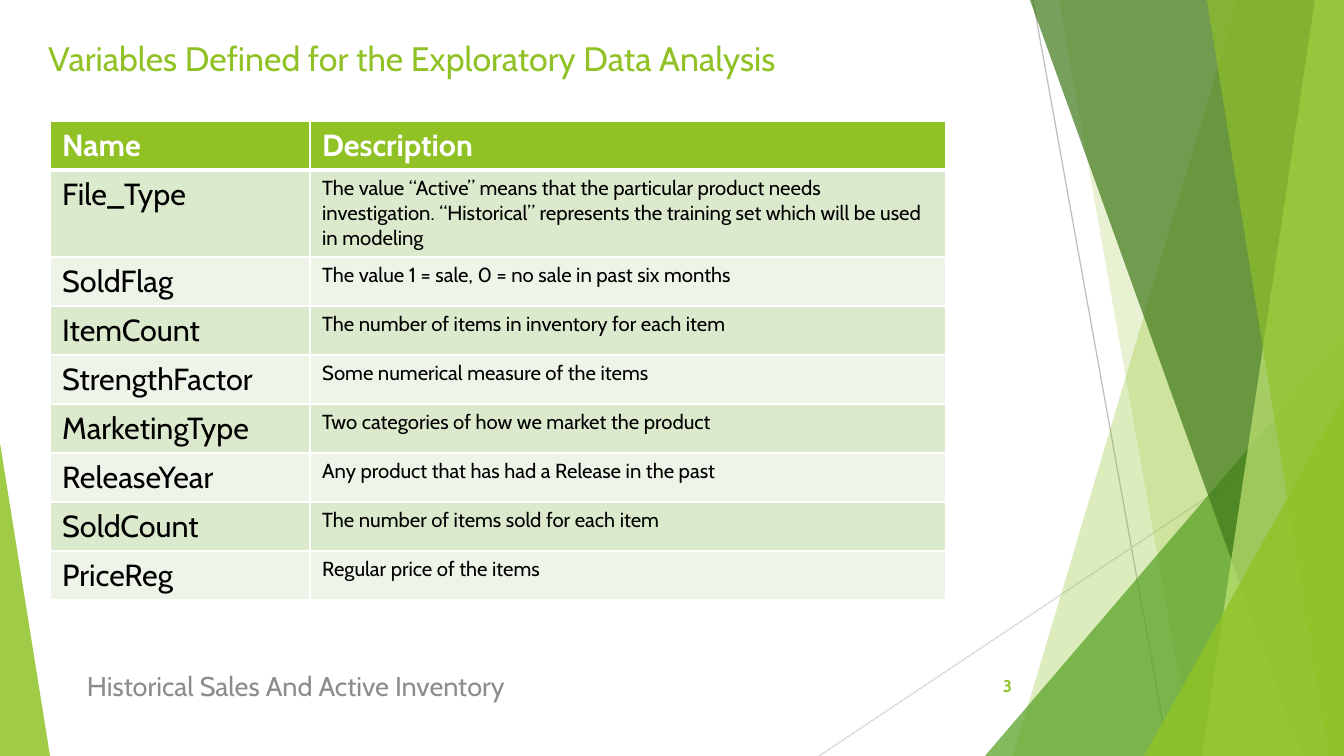
from dataclasses import dataclass

from lxml import etree
from pptx import Presentation
from pptx import util as u
from pptx.dml.color import RGBColor
from pptx.enum import shapes, text
from pptx.oxml import ns

TITLE = "Variables Defined for the Exploratory Data Analysis"
FOOTER = "Historical Sales And Active Inventory"
PAGE_NUMBER = "3"
VARIABLES = [
    ("Name", "Description"),
    ("File_Type", "The value “Active” means that the particular product needs investigation. "
                  "“Historical” represents the training set which will be used in modeling"),
    ("SoldFlag", "The value 1 = sale, 0 = no sale in past six months"),
    ("ItemCount", "The number of items in inventory for each item"),
    ("StrengthFactor", "Some numerical measure of the items"),
    ("MarketingType", "Two categories of how we market the product"),
    ("ReleaseYear", "Any product that has had a Release in the past"),
    ("SoldCount", "The number of items sold for each item"),
    ("PriceReg", "Regular price of the items"),
]


@dataclass(frozen=True)
class Theme:
    font: str = "Cabin"
    lime: str = "90C226"
    green: str = "54A021"
    forest: str = "3F7819"
    pale: str = "C0E474"
    band_dark: str = "DBE9CD"
    band_light: str = "EEF4E8"
    white: str = "FFFFFF"
    black: str = "000000"
    footer: str = "8C8C8C"
    ray_dark: str = "BFBFBF"
    ray_light: str = "D9D9D9"
    title_size: int = 20
    name_size: int = 18
    footer_size: int = 16
    description_size: int = 12
    number_size: int = 10


theme = Theme()
PX = u.Inches(1) / 122
WIDTH, HEIGHT = 1344, 756
TABLE_LEFT, TABLE_TOP = 50, 121
COLUMN_WIDTHS = (260, 636)
ROW_HEIGHT, TALL_ROW_HEIGHT = 49, 87

RAYS = [
    ((1033, 0), (1169, HEIGHT), theme.ray_dark),
    ((WIDTH, 406), (819, HEIGHT), theme.ray_light),
]
# Each facet: ("band", top x, bottom x) or ("triangle", box, apex), then colour and opacity.
FACETS = [
    ("band", (1238, 1013), theme.lime, 30),
    ("band", (1059, 1193), theme.lime, 20),
    ("triangle", (985, 337, 359, 419, 1), theme.green, 72),
    ("band", (1030, 1302), theme.forest, 70),
    ("band", (1315, 1202), theme.pale, 70),
    ("band", (1207, 1329), theme.lime, 65),
    ("triangle", (1144, 396, 200, 360, 1), theme.lime, 80),
    ("triangle", (0, 443, 50, 313, 0), theme.lime, 85),
]
LABELS = [
    (PAGE_NUMBER, (948, 666, 76, 40), theme.number_size, theme.lime, True,
     text.PP_ALIGN.RIGHT, text.MSO_ANCHOR.MIDDLE),
    (FOOTER, (75, 666, 694, 40), theme.footer_size, theme.footer, False,
     text.PP_ALIGN.LEFT, text.MSO_ANCHOR.MIDDLE),
    (TITLE, (36, 32, 980, 59), theme.title_size, theme.lime, False,
     text.PP_ALIGN.LEFT, text.MSO_ANCHOR.TOP),
]


def emu(*lengths):
    return [u.Emu(round(length * PX)) for length in lengths]


def rgb(colour):
    return RGBColor.from_string(colour)


def write(frame, content, size, colour, bold, align=text.PP_ALIGN.LEFT):
    paragraph = frame.paragraphs[0]
    paragraph.text = content
    paragraph.alignment = align
    font = paragraph.font
    font.name, font.size, font.bold = theme.font, u.Pt(size), bold
    font.color.rgb = rgb(colour)


def add_ray(slide, start, end, colour):
    ray = slide.shapes.add_connector(shapes.MSO_CONNECTOR.STRAIGHT, *emu(*start, *end))
    ray.line.color.rgb = rgb(colour)
    ray.line.width = u.Pt(0.75)
    etree.SubElement(ray._element.spPr, ns.qn("a:effectLst"))


def add_facet(slide, kind, geometry, colour, opacity):
    if kind == "band":
        top, bottom = geometry
        builder = slide.shapes.build_freeform(top, 0, scale=PX)
        builder.add_line_segments([(WIDTH, 0), (WIDTH, HEIGHT), (bottom, HEIGHT)], close=True)
        facet = builder.convert_to_shape()
    else:
        *box, apex = geometry
        facet = slide.shapes.add_shape(shapes.MSO_SHAPE.ISOSCELES_TRIANGLE, *emu(*box))
        facet.adjustments[0] = apex
    facet.shadow.inherit = False
    facet.line.fill.background()
    facet.fill.solid()
    facet.fill.fore_color.rgb = rgb(colour)
    fill_colour = facet._element.spPr.find(".//" + ns.qn("a:srgbClr"))
    etree.SubElement(fill_colour, ns.qn("a:alpha"), val=str(opacity * 1000))


def add_label(slide, content, box, size, colour, bold, align, anchor):
    frame = slide.shapes.add_textbox(*emu(*box)).text_frame
    frame.word_wrap = True
    frame.vertical_anchor = anchor
    write(frame, content, size, colour, bold, align)


def set_borders(cell, row):
    properties = cell._tc.get_or_add_tcPr()
    widths = {"L": 1, "R": 1, "T": 3 if row == 1 else 1, "B": 3 if row == 0 else 1}
    for side, width in widths.items():
        border = etree.SubElement(properties, ns.qn("a:ln" + side), w=str(u.Pt(width)))
        fill = etree.SubElement(border, ns.qn("a:solidFill"))
        etree.SubElement(fill, ns.qn("a:srgbClr"), val=theme.white)


def add_variables(slide):
    heights = [TALL_ROW_HEIGHT if row == 1 else ROW_HEIGHT for row in range(len(VARIABLES))]
    box = emu(TABLE_LEFT, TABLE_TOP, sum(COLUMN_WIDTHS), sum(heights))
    table = slide.shapes.add_table(len(VARIABLES), len(COLUMN_WIDTHS), *box).table
    for column, width in zip(table.columns, emu(*COLUMN_WIDTHS)):
        column.width = width
    for row, height in zip(table.rows, emu(*heights)):
        row.height = height
    for row, entry in enumerate(VARIABLES):
        header = row == 0
        band = theme.lime if header else theme.band_dark if row % 2 else theme.band_light
        for column, content in enumerate(entry):
            cell = table.cell(row, column)
            set_borders(cell, row)
            cell.fill.solid()
            cell.fill.fore_color.rgb = rgb(band)
            size = theme.name_size if header or column == 0 else theme.description_size
            write(cell.text_frame, content, size, theme.white if header else theme.black, header)


def main():
    presentation = Presentation()
    presentation.slide_width, presentation.slide_height = emu(WIDTH, HEIGHT)
    slide = presentation.slides.add_slide(presentation.slide_layouts[6])
    for ray in RAYS:
        add_ray(slide, *ray)
    for facet in FACETS:
        add_facet(slide, *facet)
    for label in LABELS:
        add_label(slide, *label)
    add_variables(slide)
    presentation.save("out.pptx")


if __name__ == "__main__":
    main()
